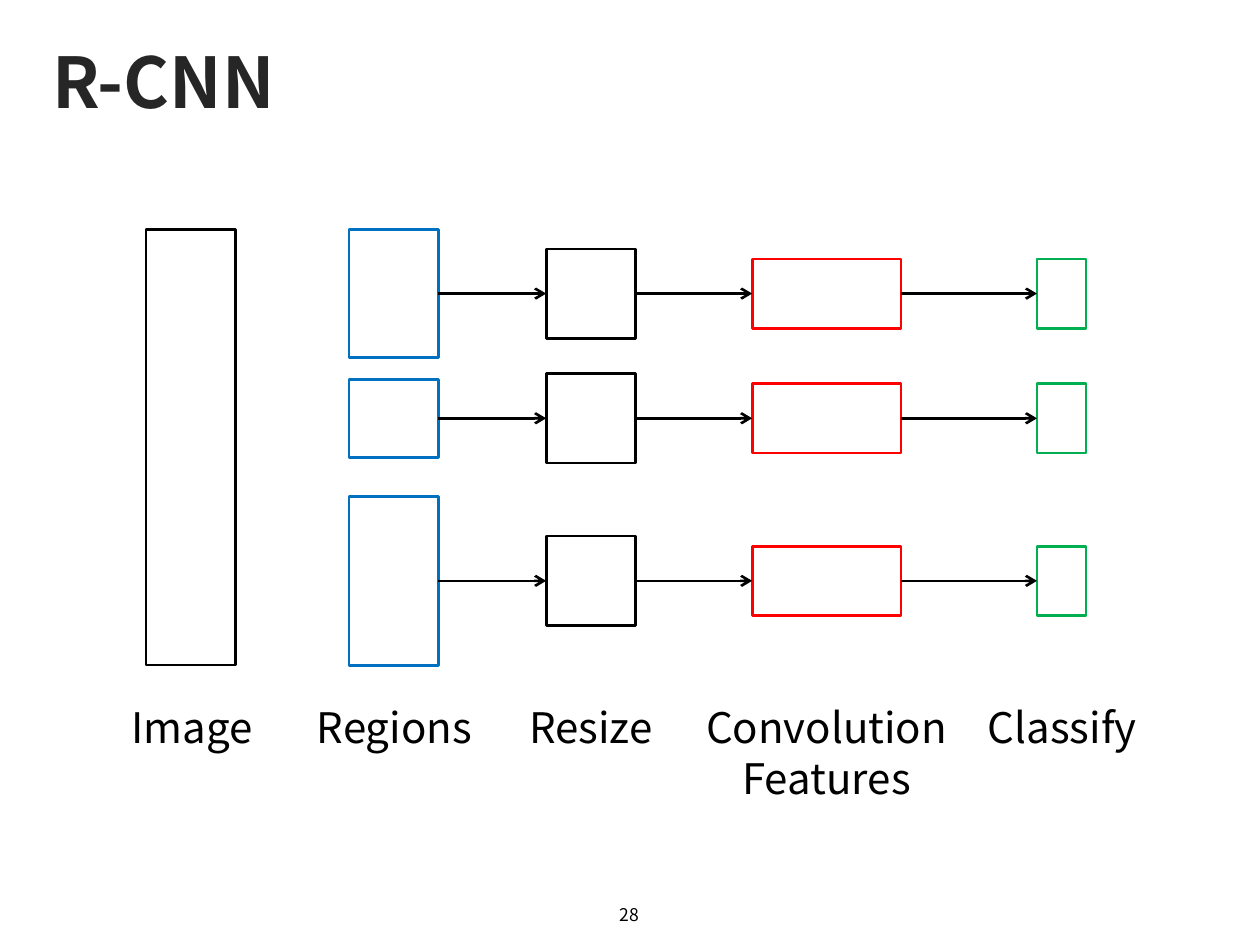
from collections import namedtuple
from dataclasses import dataclass
from itertools import pairwise

from lxml.etree import SubElement as Sub
from pptx import Presentation
from pptx.dml.color import RGBColor as Color
from pptx.enum.shapes import MSO_CONNECTOR as Link, MSO_SHAPE as Form
from pptx.enum.text import MSO_ANCHOR as Anchor, PP_ALIGN as Align
from pptx.oxml.ns import qn
from pptx.util import Inches, Pt


@dataclass(frozen=True)
class Theme:
    font: str = "Noto Sans CJK KR"
    black: str = "000000"
    dark: str = "262626"
    blue: str = "0070C0"
    red: str = "FF0000"
    green: str = "00B050"
    head: int = 40
    body: int = 24
    foot: int = 10
    line: float = 1.5


THEME = Theme()
WIDE, HIGH = Inches(10), Inches(7.5)
COLS, ROWS = 100, 75
LANES = (23.3, 33.2, 46.1)
TOP, LABEL = 18.2, 55.2
Stage = namedtuple("Stage", "mid wide highs tint")
STAGES = (
    Stage(31.25, 7.1, (10.2, 6.2, 13.4), THEME.blue),
    Stage(46.9, 7.1, (7.1,) * 3, THEME.black),
    Stage(65.6, 11.8, (5.5,) * 3, THEME.red),
    Stage(84.25, 3.9, (5.5,) * 3, THEME.green),
)
LABELS = (
    ("Image", 15.25, 13.9, 5),
    ("Regions", 31.3, 17, 5),
    ("Resize", 46.9, 13.8, 5),
    ("Convolution Features", 65.6, 24.4, 9.1),
    ("Classify", 84.3, 13.8, 5),
)


def col(n):
    return round(WIDE * n / COLS)


def row(n):
    return round(HIGH * n / ROWS)


def place(x, y, w, h):
    return col(x), row(y), col(w), row(h)


def write(slide, text, area, size, tint=THEME.black, bold=False,
          align=Align.CENTER, anchor=Anchor.MIDDLE):
    frame = slide.shapes.add_textbox(*place(*area)).text_frame
    frame.word_wrap = True
    frame.vertical_anchor = anchor
    para = frame.paragraphs[0]
    para.text = text
    para.alignment = align
    font = para.font
    font.name, font.size, font.bold = THEME.font, Pt(size), bold
    font.color.rgb = Color.from_string(tint)


def ink(line, tint):
    line.color.rgb = Color.from_string(tint)
    line.width = Pt(THEME.line)


def box(slide, area, tint):
    shape = slide.shapes.add_shape(Form.RECTANGLE, *place(*area))
    shape.shadow.inherit = False
    shape.fill.background()
    ink(shape.line, tint)


def arrow(slide, start, end, y):
    link = slide.shapes.add_connector(
        Link.STRAIGHT, col(start), row(y), col(end), row(y))
    ink(link.line, THEME.black)
    props = link._element.spPr
    Sub(props.find(qn("a:ln")), qn("a:tailEnd"), type="arrow")
    Sub(props, qn("a:effectLst"))


def lane(slide, index, y):
    for stage in STAGES:
        high = stage.highs[index]
        left = stage.mid - stage.wide / 2
        box(slide, (left, y - high / 2, stage.wide, high), stage.tint)
    for one, two in pairwise(STAGES):
        arrow(slide, one.mid + one.wide / 2, two.mid - two.wide / 2, y)


def main():
    deck = Presentation()
    deck.slide_width, deck.slide_height = WIDE, HIGH
    slide = deck.slides.add_slide(deck.slide_layouts[6])
    write(slide, "R-CNN", (3.2, 2.8, 93.8, 7.2), THEME.head, THEME.dark,
          True, Align.LEFT)
    box(slide, (11.6, TOP, 7.1, 34.6), THEME.black)
    for index, y in enumerate(LANES):
        lane(slide, index, y)
    for text, mid, wide, high in LABELS:
        write(slide, text, (mid - wide / 2, LABEL, wide, high), THEME.body,
              anchor=Anchor.TOP)
    write(slide, "28", (38.3, 70.6, 23.3, 4), THEME.foot)
    deck.save("out.pptx")


if __name__ == "__main__":
    main()
